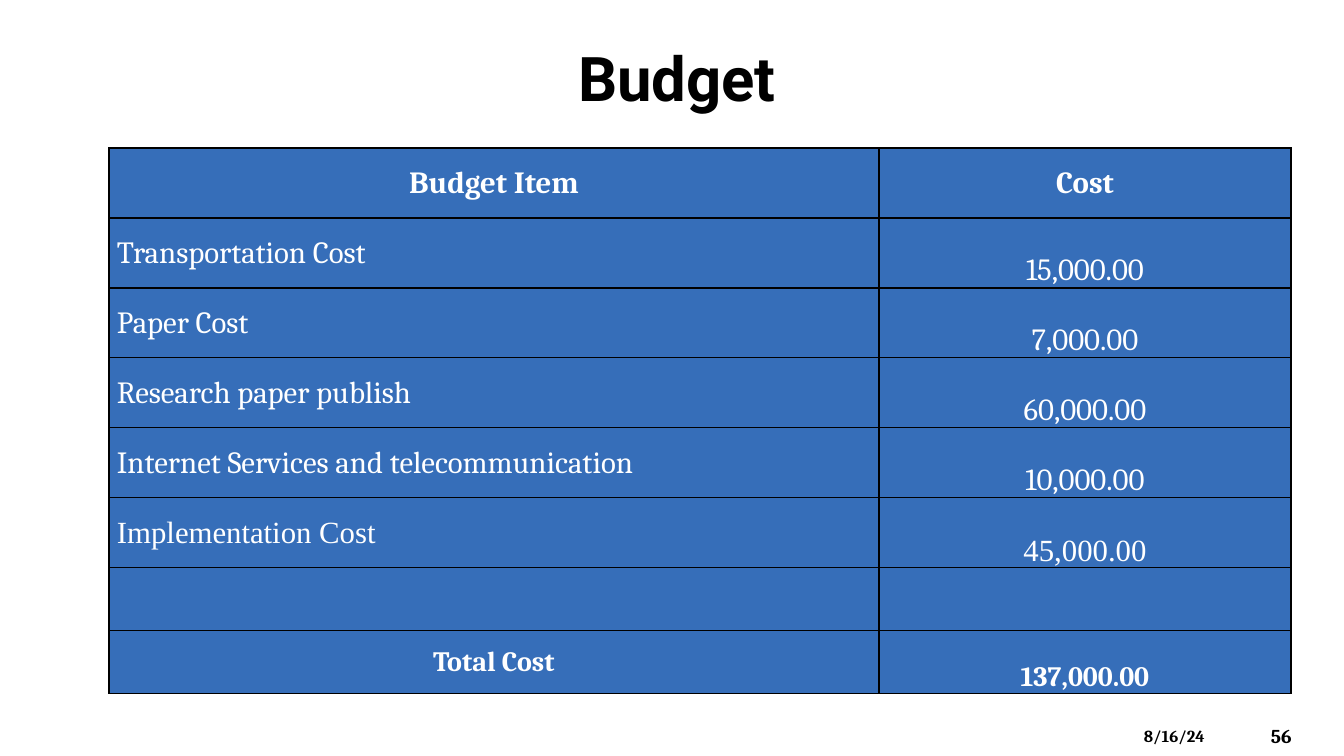
from dataclasses import dataclass

from lxml.etree import SubElement
from pptx import Presentation
from pptx.dml.color import RGBColor
from pptx.enum.text import MSO_ANCHOR, PP_ALIGN
from pptx.oxml.ns import qn
from pptx.util import Emu, Pt

PX_PER_INCH = 100.8


def px(length):
    return Emu(round(length * 914400 / PX_PER_INCH))


@dataclass(frozen=True)
class Theme:
    ink: str = "000000"
    paper: str = "FFFFFF"
    cell: str = "366EB9"
    heading_font: str = "Roboto"
    text_font: str = "Cambria"
    alternate_font: str = "Times New Roman"
    title_size: int = 44
    table_size: int = 22
    total_size: int = 20
    number_size: int = 14
    date_size: int = 12


class BudgetSlide:
    def __init__(self, presentation, theme):
        self.theme = theme
        self.slide = presentation.slides.add_slide(presentation.slide_layouts[5])

    def add_text(self, frame, text, size, color, font=None, bold=True,
                 align=PP_ALIGN.LEFT):
        paragraph = frame.paragraphs[0]
        paragraph.alignment = align
        run = paragraph.add_run()
        run.text = text
        run.font.name = font or self.theme.text_font
        run.font.size = Pt(size)
        run.font.bold = bold
        run.font.color.rgb = RGBColor.from_string(color)

    def title(self, text, left, top, width, height):
        heading = self.slide.shapes.title
        heading.left, heading.top = px(left), px(top)
        heading.width, heading.height = px(width), px(height)
        heading.text_frame.vertical_anchor = MSO_ANCHOR.MIDDLE
        self.add_text(heading.text_frame, text, self.theme.title_size,
                      self.theme.ink, self.theme.heading_font, align=PP_ALIGN.CENTER)

    def label(self, text, size, left, top, width, height, anchor):
        box = self.slide.shapes.add_textbox(px(left), px(top), px(width), px(height))
        box.text_frame.word_wrap = True
        box.text_frame.vertical_anchor = anchor
        self.add_text(box.text_frame, text, size, self.theme.ink)

    def border(self, cell):
        properties = cell._tc.get_or_add_tcPr()
        for side in ("lnL", "lnR", "lnT", "lnB"):
            line = SubElement(properties, qn(f"a:{side}"), w=str(Pt(1)))
            fill = SubElement(line, qn("a:solidFill"))
            SubElement(fill, qn("a:srgbClr"), val=self.theme.ink)

    def table(self, rows, left, top, widths, heights):
        """Draw rows of (item, cost, style), where style overrides text settings."""
        frame = self.slide.shapes.add_table(
            len(rows), len(widths), px(left), px(top), px(sum(widths)), px(sum(heights)))
        grid = frame.table
        for column, width in zip(grid.columns, widths):
            column.width = px(width)
        for row, height, (item, cost, style) in zip(grid.rows, heights, rows):
            row.height = px(height)
            bold = style.get("bold", False)
            item_align = PP_ALIGN.CENTER if bold else PP_ALIGN.LEFT
            cost_anchor = style.get("cost_anchor", MSO_ANCHOR.BOTTOM)
            layout = ((item, item_align, MSO_ANCHOR.MIDDLE),
                      (cost, PP_ALIGN.CENTER, cost_anchor))
            for cell, (text, align, anchor) in zip(row.cells, layout):
                self.border(cell)
                cell.fill.solid()
                cell.fill.fore_color.rgb = RGBColor.from_string(self.theme.cell)
                cell.margin_left = px(8 if align == PP_ALIGN.LEFT else 1)
                cell.margin_right = cell.margin_top = px(1)
                cell.margin_bottom = 0
                cell.vertical_anchor = anchor
                if text:
                    self.add_text(cell.text_frame, text,
                                  style.get("size", self.theme.table_size),
                                  self.theme.paper, style.get("font"), bold, align)


def main():
    presentation = Presentation()
    presentation.slide_width, presentation.slide_height = px(1344), px(756)
    theme = Theme()
    budget = BudgetSlide(presentation, theme)

    budget.title("Budget", 33, 33, 1288, 88)
    budget.label("56", theme.number_size, 1261, 716, 75, 40, MSO_ANCHOR.MIDDLE)
    budget.label("8/16/24", theme.date_size, 1134, 721, 118, 30, MSO_ANCHOR.TOP)

    rows = [
        ("Budget Item", "Cost", {"bold": True, "cost_anchor": MSO_ANCHOR.MIDDLE}),
        ("Transportation Cost", "15,000.00", {}),
        ("Paper Cost", "7,000.00", {}),
        ("Research paper publish", "60,000.00", {}),
        ("Internet Services and telecommunication", "10,000.00", {}),
        ("Implementation Cost", "45,000.00", {"font": theme.alternate_font}),
        ("", "", {}),
        ("Total Cost", "137,000.00", {"bold": True, "size": theme.total_size}),
    ]
    budget.table(rows, 109, 148, [770, 412], [70] * 6 + [63] * 2)
    presentation.save("out.pptx")


if __name__ == "__main__":
    main()
